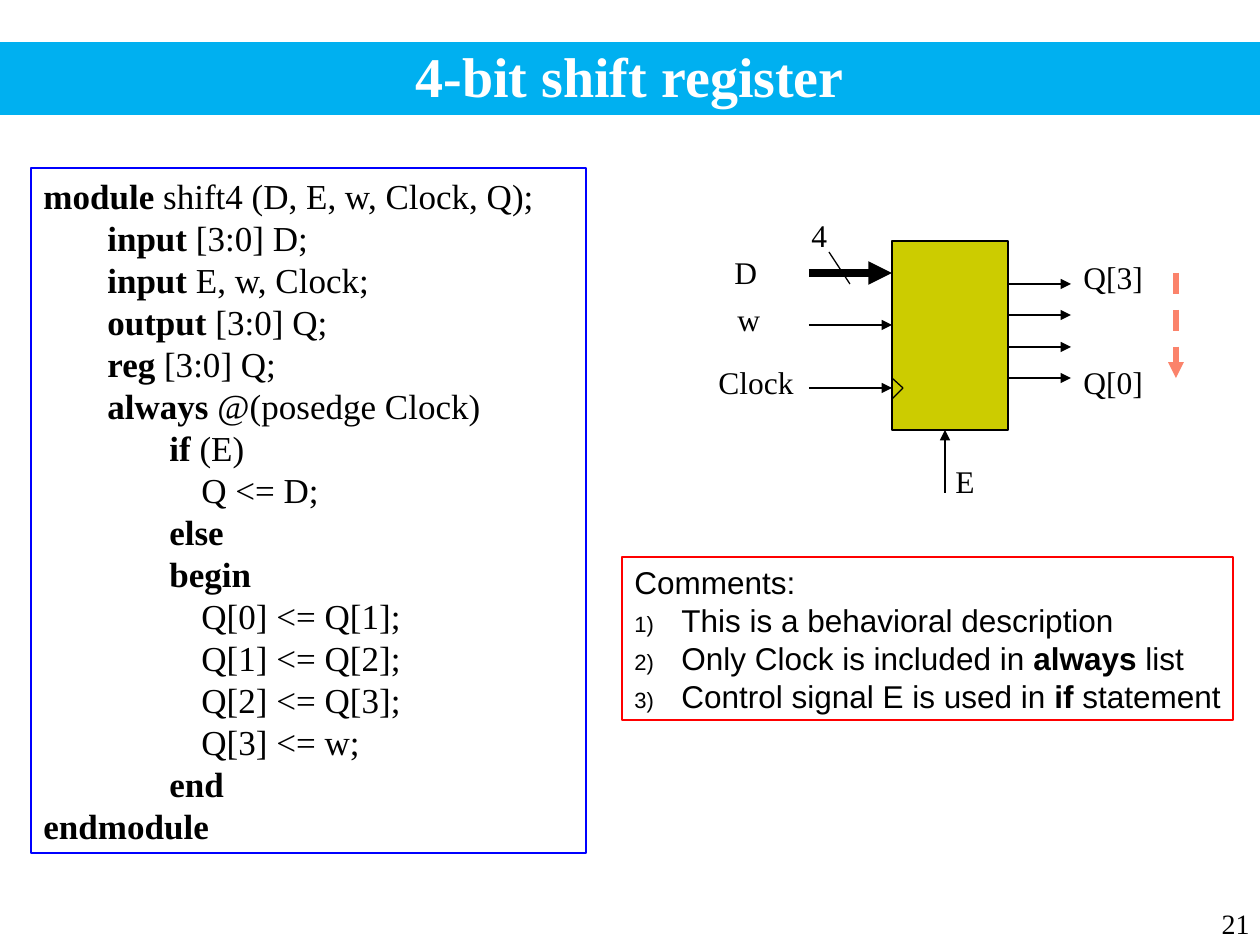
from lxml import etree
from pptx import Presentation
from pptx import util as u
from pptx.dml.color import RGBColor
from pptx.enum import dml, shapes, text
from pptx.oxml import ns

PX = 914400 / 126  # EMU in one px
hue = RGBColor.from_string
SERIF, SANS = "Times New Roman", "Arial"


def write(box, lines, size, font=SERIF, color="000000"):
    """Fill a box with lines; words between asterisks are bold."""
    frame = box.text_frame
    for i, line in enumerate(lines):
        para = frame.paragraphs[0] if i == 0 else frame.add_paragraph()
        para.alignment = text.PP_ALIGN.LEFT
        for j, part in enumerate(line.split("*")):
            if part:
                run = para.add_run()
                run.text = part
                run.font.size = u.Pt(size)
                run.font.name = font
                run.font.bold = j % 2 == 1
                run.font.color.rgb = hue(color)
    return frame


def draw(x1, y1, x2, y2, width=0.75, color="000000", arrow=True, dash=False):
    """Draw a straight line, by default with an arrowhead at its end."""
    ends = [u.Emu(round(v * PX)) for v in (x1, y1, x2, y2)]
    link = slide.shapes.add_connector(shapes.MSO_CONNECTOR.STRAIGHT, *ends)
    link.line.width = u.Pt(width)
    link.line.color.rgb = hue(color)
    if dash:
        link.line.dash_style = dml.MSO_LINE.DASH
    if arrow:
        etree.SubElement(link.line._get_or_add_ln(), ns.qn("a:tailEnd"), type="triangle")
    etree.SubElement(link._element.spPr, ns.qn("a:effectLst"))


deck = Presentation()
deck.slide_width, deck.slide_height = u.Inches(10), u.Inches(7.5)
slide = deck.slides.add_slide(deck.slide_layouts[5])

# Title bar
title = slide.shapes.title
title.left, title.top, title.width, title.height = [
    u.Emu(round(v * PX)) for v in (0, 42, 1260, 73)]
title.fill.solid()
title.fill.fore_color.rgb = hue("00B0F0")
frame = write(title, ["*4-bit shift register*"], 32, color="FFFFFF")
frame.auto_size = text.MSO_AUTO_SIZE.NONE
frame.vertical_anchor = text.MSO_ANCHOR.BOTTOM
frame.paragraphs[0].alignment = text.PP_ALIGN.CENTER

# Code frame, register block and comments frame
rects = []
for x, y, w, h, fill, edge in [
    (31, 168, 555, 685, None, "0000FF"),
    (892, 241, 116, 189, "CCCC00", "000000"),
    (622, 557, 611, 163, None, "FF0000"),
]:
    rect = slide.shapes.add_shape(
        shapes.MSO_SHAPE.RECTANGLE, *[u.Emu(round(v * PX)) for v in (x, y, w, h)])
    rect.shadow.inherit = False
    if fill:
        rect.fill.solid()
        rect.fill.fore_color.rgb = hue(fill)
    else:
        rect.fill.background()
    rect.line.color.rgb = hue(edge)
    rect.line.width = u.Pt(0.75)
    rect.text_frame.vertical_anchor = text.MSO_ANCHOR.TOP
    rects.append(rect)
code, block, notes = rects

# Code, indented with tab stops
frame = write(code, [
    "*module* shift4 (D, E, w, Clock, Q);",
    "\t*input* [3:0] D;",
    "\t*input* E, w, Clock;",
    "\t*output* [3:0] Q;",
    "\t*reg* [3:0] Q;",
    "\t*always* @(posedge Clock)",
    "\t\t*if* (E)",
    "\t\t\tQ <= D;",
    "\t\t*else*",
    "\t\t*begin*",
    "\t\t\tQ[0] <= Q[1];",
    "\t\t\tQ[1] <= Q[2];",
    "\t\t\tQ[2] <= Q[3];",
    "\t\t\tQ[3] <= w;",
    "\t\t*end*",
    "*endmodule*",
], 20)
for para in frame.paragraphs:
    tabs = etree.SubElement(para._p.get_or_add_pPr(), ns.qn("a:tabLst"))
    for stop in (64, 126, 158):
        etree.SubElement(tabs, ns.qn("a:tab"), pos=str(round(stop * PX)), algn="l")

# Numbered comments
frame = write(notes, [
    "Comments:",
    "This is a behavioral description",
    "Only Clock is included in *always* list",
    "Control signal E is used in *if* statement",
], 18, SANS)
frame.word_wrap = False
for para in frame.paragraphs[1:]:
    props = para._p.get_or_add_pPr()
    props.set("marL", str(round(47 * PX)))
    props.set("indent", str(round(-47 * PX)))
    tint = etree.SubElement(props, ns.qn("a:buClr"))
    etree.SubElement(tint, ns.qn("a:srgbClr"), val="000000")
    etree.SubElement(props, ns.qn("a:buSzPct"), val="70000")
    etree.SubElement(props, ns.qn("a:buFont"), typeface=SANS)
    etree.SubElement(props, ns.qn("a:buAutoNum"), type="arabicParenR")

# Inputs: D bus with its slash, w, Clock with its notch, E
draw(809, 273, 892, 273, width=4.5)
draw(829, 252, 850, 284, arrow=False)
draw(809, 325, 892, 325)
draw(809, 388, 892, 388)
draw(892, 378, 903, 388, arrow=False)
draw(903, 388, 892, 399, arrow=False)
draw(945, 493, 945, 430)

# Outputs and shift direction
for i in range(4):
    y = 284 + i * 63 // 2
    draw(1008, y, 1071, y)
draw(1176, 273, 1176, 378, width=3, color="FB836B", dash=True)

# Signal names
for name, x, y, w in [
    ("4", 799, 210, 44), ("D", 722, 247, 52), ("w", 725, 294, 52),
    ("Clock", 706, 357, 112), ("E", 943, 456, 48),
    ("Q[3]", 1071, 252, 92), ("Q[0]", 1071, 357, 92),
]:
    label = slide.shapes.add_textbox(*[u.Emu(round(v * PX)) for v in (x, y, w, 50)])
    write(label, [name], 18).word_wrap = False

# Page number
page = slide.shapes.add_textbox(*[u.Emu(round(v * PX)) for v in (1000, 883, 262, 63)])
frame = write(page, ["21"], 16)
frame.word_wrap = True
frame.vertical_anchor = text.MSO_ANCHOR.BOTTOM
frame.paragraphs[0].alignment = text.PP_ALIGN.RIGHT

deck.save("out.pptx")
